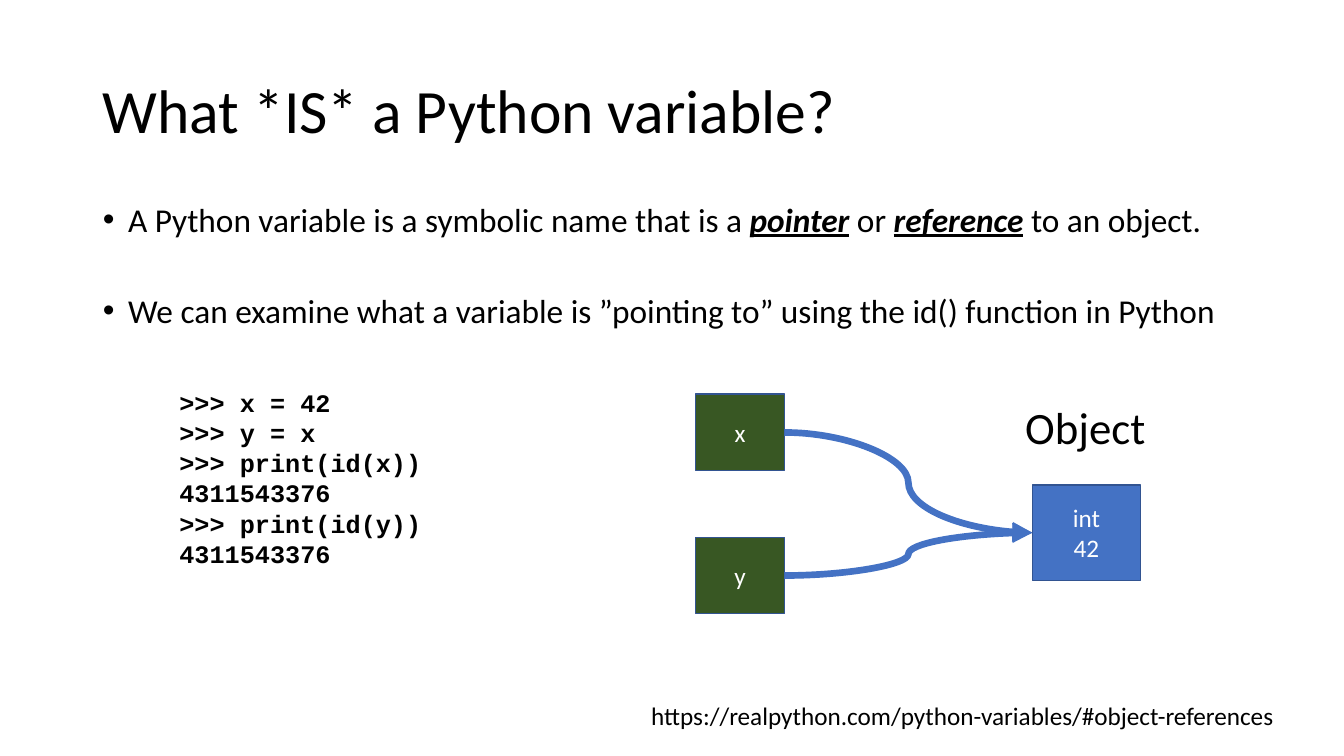
from dataclasses import dataclass

from lxml import etree
from pptx import Presentation
from pptx.dml.color import RGBColor
from pptx.enum import shapes, text
from pptx.oxml import ns
from pptx.util import Inches, Pt


@dataclass(frozen=True)
class Theme:
    sans: str = "Calibri"
    mono: str = "Courier New"
    ink: str = "000000"
    white: str = "FFFFFF"
    blue: str = "4472C4"
    green: str = "385723"
    edge: str = "325491"
    title: float = 44
    label: float = 32
    body: float = 23.8
    small: float = 18
    thin: float = 1
    thick: float = 4.75


THEME = Theme()


def place(item, left, top, width, height):
    item.left, item.top = Inches(left), Inches(top)
    item.width, item.height = Inches(width), Inches(height)


def style(run, size, color=THEME.ink, face=THEME.sans, bold=False):
    font = run.font
    font.name, font.size, font.bold = face, Pt(size), bold
    font.color.rgb = RGBColor.from_string(color)


def write(frame, words, size, align=text.PP_ALIGN.LEFT, **look):
    frame.text = words
    for para in frame.paragraphs:
        para.alignment = align
        for run in para.runs:
            style(run, size, **look)


def add_title(slide, words):
    title = slide.shapes.title
    place(title, 0.92, 0.4, 11.5, 1.45)
    frame = title.text_frame
    frame.auto_size = text.MSO_AUTO_SIZE.NONE
    frame.vertical_anchor = text.MSO_ANCHOR.MIDDLE
    write(frame, words, THEME.title)
    frame.paragraphs[0].line_spacing = 0.9


def add_bullet(para):
    props = para._p.get_or_add_pPr()
    props.set("marL", str(Inches(0.25)))
    props.set("indent", str(-Inches(0.25)))
    etree.SubElement(props, ns.qn("a:buFont")).set("typeface", "Arial")
    etree.SubElement(props, ns.qn("a:buChar")).set("char", "•")


def add_list(slide, items, gap):
    body = slide.placeholders[1]
    place(body, 0.92, 2, 11.5, 1.59)
    frame = body.text_frame
    frame.auto_size = text.MSO_AUTO_SIZE.NONE
    for i, parts in enumerate(items):
        para = frame.add_paragraph() if i else frame.paragraphs[0]
        add_bullet(para)
        para.line_spacing = 0.8
        para.space_before = Pt(gap if i else 0)
        for words, strong in parts:
            run = para.add_run()
            run.text = words
            style(run, THEME.body, bold=strong)
            run.font.italic = run.font.underline = strong


def add_text(slide, spot, words, size, wrap=True, **look):
    box = slide.shapes.add_textbox(*map(Inches, spot))
    frame = box.text_frame
    frame.word_wrap = wrap
    frame.auto_size = text.MSO_AUTO_SIZE.SHAPE_TO_FIT_TEXT
    write(frame, words, size, **look)


def add_box(slide, spot, words, fill):
    box = slide.shapes.add_shape(shapes.MSO_SHAPE.RECTANGLE, *map(Inches, spot))
    box.shadow.inherit = False
    box.fill.solid()
    box.fill.fore_color.rgb = RGBColor.from_string(fill)
    box.line.color.rgb = RGBColor.from_string(THEME.edge)
    box.line.width = Pt(THEME.thin)
    box.text_frame.vertical_anchor = text.MSO_ANCHOR.MIDDLE
    write(box.text_frame, words, THEME.small, text.PP_ALIGN.CENTER, color=THEME.white)
    return box


def add_arrow(slide, start, end):
    arrow = slide.shapes.add_connector(shapes.MSO_CONNECTOR.CURVE, 0, 0, 0, 0)
    arrow.begin_connect(start, 3)
    arrow.end_connect(end, 1)
    arrow.line.color.rgb = RGBColor.from_string(THEME.blue)
    arrow.line.width = Pt(THEME.thick)
    line = arrow.line._get_or_add_ln()
    etree.SubElement(line, ns.qn("a:tailEnd")).set("type", "triangle")
    etree.SubElement(arrow._element.spPr, ns.qn("a:effectLst"))


def main():
    deck = Presentation()
    deck.slide_width, deck.slide_height = Inches(13.33), Inches(7.5)
    slide = deck.slides.add_slide(deck.slide_layouts[1])

    add_title(slide, "What *IS* a Python variable?")
    add_list(slide, [
        [("A Python variable is a symbolic name that is a ", False),
         ("pointer", True), (" or ", False), ("reference", True),
         (" to an object.", False)],
        [("We can examine what a variable is ”pointing to” "
          "using the id() function in Python", False)],
    ], gap=42.5)

    add_text(slide, (6.36, 6.9, 6.73, 0.4),
             "https://realpython.com/python-variables/#object-references",
             THEME.small)
    code = [">>> x = 42", ">>> y = x", ">>> print(id(x))", "4311543376",
            ">>> print(id(y))", "4311543376"]
    add_text(slide, (1.68, 3.79, 3.64, 2.22), "\n".join(code), THEME.small,
             face=THEME.mono, bold=True)

    target = add_box(slide, (10.24, 4.81, 1.07, 0.95), "int\n42", THEME.blue)
    for name, top in (("x", 3.91), ("y", 5.33)):
        box = add_box(slide, (6.9, top, 0.88, 0.76), name, THEME.green)
        add_arrow(slide, box, target)
    add_text(slide, (10.07, 3.92, 1.41, 0.64), "Object", THEME.label, wrap=False)

    deck.save("out.pptx")


if __name__ == "__main__":
    main()
